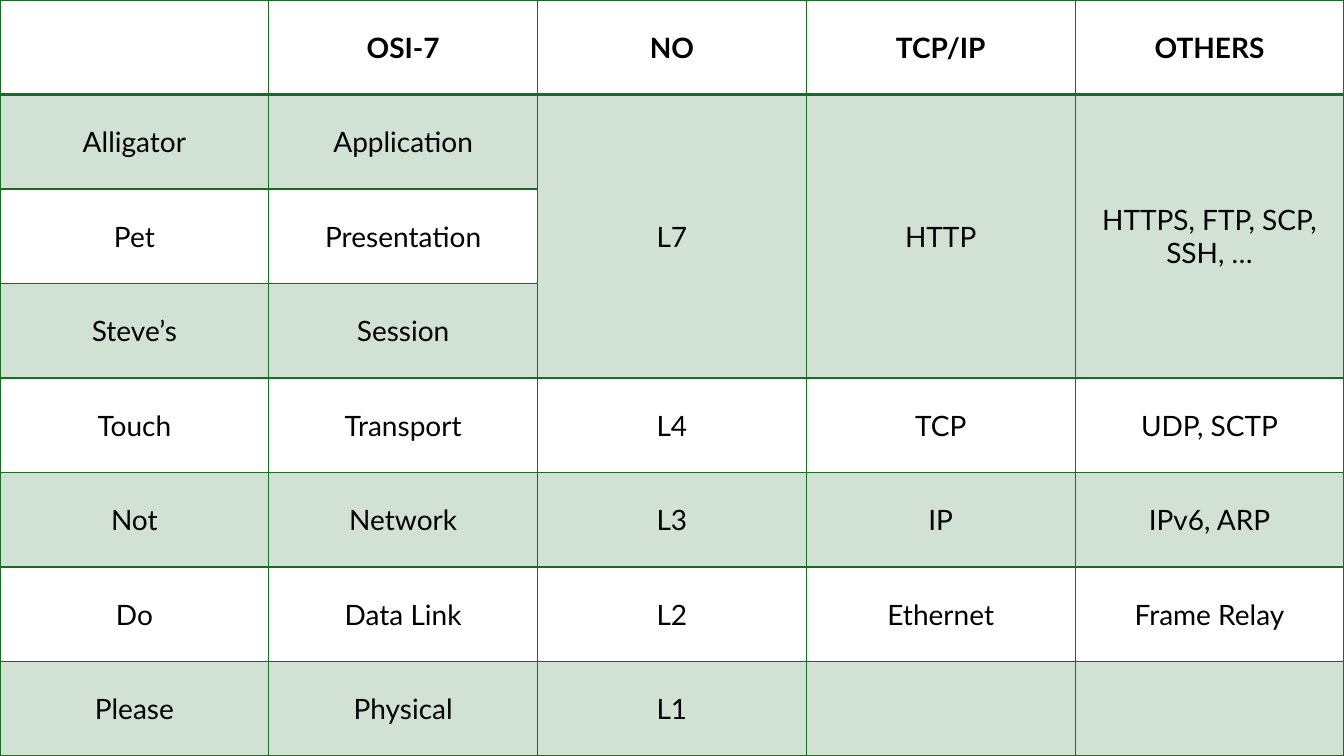
from dataclasses import dataclass

from lxml.etree import SubElement
from pptx import Presentation
from pptx.dml.color import RGBColor
from pptx.enum.text import MSO_ANCHOR, PP_ALIGN
from pptx.oxml.ns import qn
from pptx.table import _Cell as Cell
from pptx.util import Pt


@dataclass(frozen=True)
class Theme:
    font: str = "Lato"
    text_size: float = 20
    text: str = "000000"
    plain: str = "FFFFFF"
    accent: str = "196B24"
    band_opacity: int = 20
    line: float = 1
    header_line: float = 2


@dataclass(frozen=True)
class Layer:
    mnemonic: str
    osi: str
    number: str = ""
    tcp_ip: str = ""
    others: str = ""

    def texts(self) -> list[str]:
        return [self.mnemonic, self.osi, self.number, self.tcp_ip, self.others]


THEME = Theme()
SLIDE_WIDTH, SLIDE_HEIGHT = 960, 540

HEADER = ["", "OSI-7", "NO", "TCP/IP", "OTHERS"]
LAYERS = [
    Layer("Alligator", "Application", "L7", "HTTP", "HTTPS, FTP, SCP, SSH, …"),
    Layer("Pet", "Presentation"),
    Layer("Steve’s", "Session"),
    Layer("Touch", "Transport", "L4", "TCP", "UDP, SCTP"),
    Layer("Not", "Network", "L3", "IP", "IPv6, ARP"),
    Layer("Do", "Data Link", "L2", "Ethernet", "Frame Relay"),
    Layer("Please", "Physical", "L1"),
]
MERGED_ROWS = (1, 3)
MERGED_COLUMNS = (2, 3, 4)


def draw_borders(cell: Cell, top: float, bottom: float) -> None:
    properties = cell._tc.get_or_add_tcPr()
    widths = {"L": THEME.line, "R": THEME.line, "T": top, "B": bottom}
    for side, width in widths.items():
        line = SubElement(properties, qn(f"a:ln{side}"), w=str(Pt(width)))
        fill = SubElement(line, qn("a:solidFill"))
        SubElement(fill, qn("a:srgbClr"), val=THEME.accent)


def fill_cell(cell: Cell, banded: bool) -> None:
    cell.fill.solid()
    color = THEME.accent if banded else THEME.plain
    cell.fill.fore_color.rgb = RGBColor.from_string(color)
    if banded:
        tint = cell._tc.tcPr.find(qn("a:solidFill")).find(qn("a:srgbClr"))
        SubElement(tint, qn("a:alpha"), val=str(THEME.band_opacity * 1000))


def write_cell(cell: Cell, text: str, bold: bool) -> None:
    cell.vertical_anchor = MSO_ANCHOR.MIDDLE
    if not text:
        return
    paragraph = cell.text_frame.paragraphs[0]
    paragraph.alignment = PP_ALIGN.CENTER
    run = paragraph.add_run()
    run.text = text
    run.font.name = THEME.font
    run.font.size = Pt(THEME.text_size)
    run.font.bold = bold
    run.font.color.rgb = RGBColor.from_string(THEME.text)


def main() -> None:
    presentation = Presentation()
    presentation.slide_width = Pt(SLIDE_WIDTH)
    presentation.slide_height = Pt(SLIDE_HEIGHT)
    slide = presentation.slides.add_slide(presentation.slide_layouts[6])

    # Table grid filling the slide
    rows = [HEADER] + [layer.texts() for layer in LAYERS]
    table = slide.shapes.add_table(
        len(rows), len(HEADER), Pt(0), Pt(0), Pt(SLIDE_WIDTH), Pt(SLIDE_HEIGHT)
    ).table
    table.horz_banding = False
    for column in table.columns:
        column.width = Pt(SLIDE_WIDTH / len(HEADER))
    for row in table.rows:
        row.height = Pt(SLIDE_HEIGHT / len(rows))

    # The top three layers share their protocols
    first, last = MERGED_ROWS
    for column_index in MERGED_COLUMNS:
        table.cell(first, column_index).merge(table.cell(last, column_index))

    # Cells: heavier rule under the header, tint on odd rows
    for row_index, texts in enumerate(rows):
        top = THEME.header_line if row_index == 1 else THEME.line
        bottom = THEME.header_line if row_index == 0 else THEME.line
        for column_index, text in enumerate(texts):
            cell = table.cell(row_index, column_index)
            if cell.is_spanned:
                continue
            draw_borders(cell, top, bottom)
            fill_cell(cell, banded=row_index % 2 == 1)
            write_cell(cell, text, bold=row_index == 0)

    presentation.save("out.pptx")


if __name__ == "__main__":
    main()
